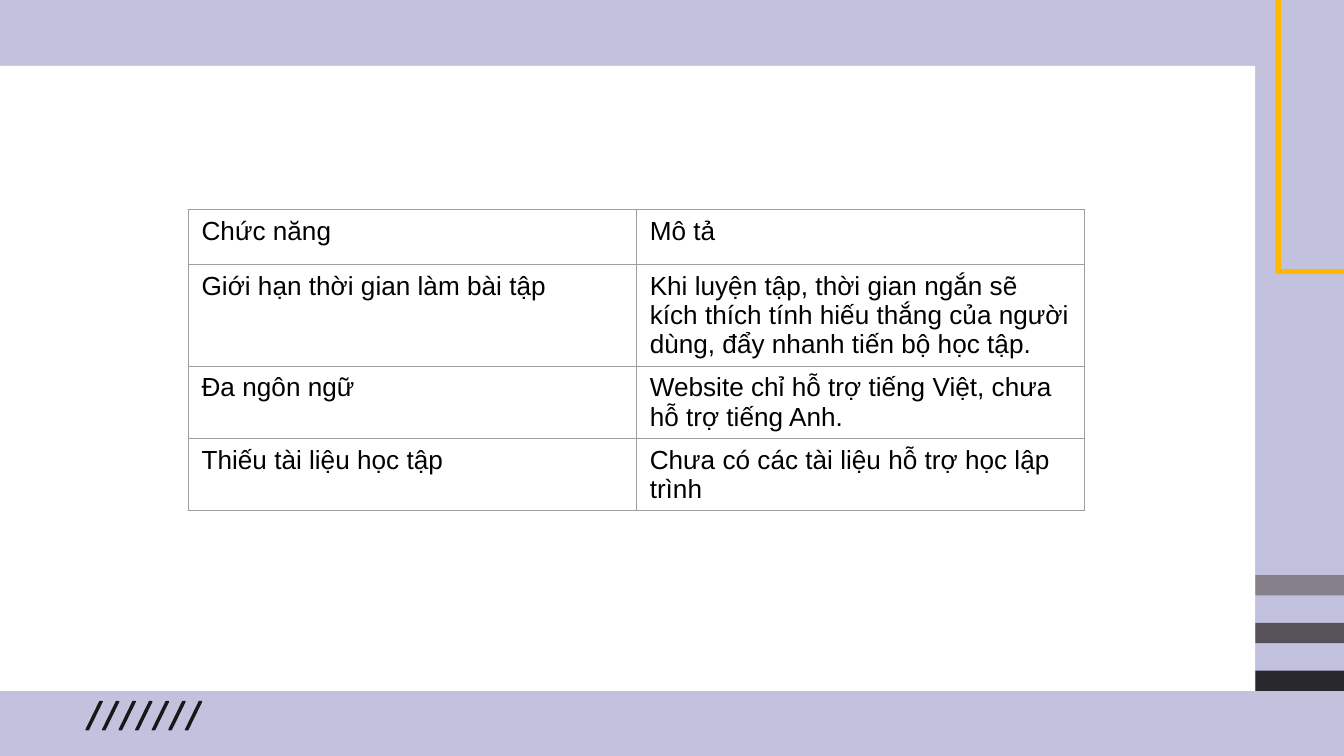
from lxml import etree
from pptx import Presentation
from pptx.dml.color import RGBColor
from pptx.enum.shapes import MSO_SHAPE
from pptx.oxml.ns import qn
from pptx.util import Inches, Pt

RECTANGLE = MSO_SHAPE.RECTANGLE
PARALLELOGRAM = MSO_SHAPE.PARALLELOGRAM
BLANK_LAYOUT = 6
SLIDE_WIDTH = 10

COLORS = {
    "background": "C2C2DF",
    "panel": "FFFFFF",
    "slash": "18181A",
    "frame": "FFB700",
    "border": "9E9E9E",
    "text": "000000",
}
STRIPES = ["86808A", "575259", "29282C"]

FEATURES = [
    ("Chức năng", "Mô tả"),
    (
        "Giới hạn thời gian làm bài tập",
        "Khi luyện tập, thời gian ngắn sẽ kích thích tính hiếu thắng của người dùng, "
        "đẩy nhanh tiến bộ học tập.",
    ),
    ("Đa ngôn ngữ", "Website chỉ hỗ trợ tiếng Việt, chưa hỗ trợ tiếng Anh."),
    ("Thiếu tài liệu học tập", "Chưa có các tài liệu hỗ trợ học lập trình"),
]


def write_text(text_frame, text, size=14, font="Arial", color=COLORS["text"]):
    run = text_frame.paragraphs[0].add_run()
    run.text = text
    run.font.size = Pt(size)
    run.font.name = font
    run.font.color.rgb = RGBColor.from_string(color)


class SlideBuilder:
    def __init__(self, slide):
        self.slide = slide

    def background(self, color):
        fill = self.slide.background.fill
        fill.solid()
        fill.fore_color.rgb = RGBColor.from_string(color)

    def shape(self, kind, left, top, width, height, fill=None, line=None, weight=0.75):
        shape = self.slide.shapes.add_shape(
            kind, Inches(left), Inches(top), Inches(width), Inches(height)
        )
        shape.shadow.inherit = False
        if fill:
            shape.fill.solid()
            shape.fill.fore_color.rgb = RGBColor.from_string(fill)
        else:
            shape.fill.background()
        if line:
            shape.line.color.rgb = RGBColor.from_string(line)
            shape.line.width = Pt(weight)
        else:
            shape.line.fill.background()
        return shape

    def cell_borders(self, cell, color, weight=0.75):
        properties = cell._tc.get_or_add_tcPr()
        for position, side in enumerate(("a:lnL", "a:lnR", "a:lnT", "a:lnB")):
            border = etree.Element(qn(side), w=str(Pt(weight)))
            fill = etree.SubElement(border, qn("a:solidFill"))
            etree.SubElement(fill, qn("a:srgbClr"), val=color)
            properties.insert(position, border)

    def table(self, rows, left, top, width, row_height):
        table = self.slide.shapes.add_table(
            len(rows), len(rows[0]), Inches(left), Inches(top),
            Inches(width), Inches(row_height * len(rows)),
        ).table
        table.first_row = False
        table.horz_banding = False
        for row_index, row in enumerate(rows):
            for column_index, text in enumerate(row):
                cell = table.cell(row_index, column_index)
                cell.fill.background()
                self.cell_borders(cell, COLORS["border"])
                write_text(cell.text_frame, text)


def main():
    deck = Presentation()
    deck.slide_width = Inches(SLIDE_WIDTH)
    deck.slide_height = Inches(SLIDE_WIDTH * 9 / 16)
    builder = SlideBuilder(deck.slides.add_slide(deck.slide_layouts[BLANK_LAYOUT]))

    builder.background(COLORS["background"])
    builder.shape(RECTANGLE, 0, 0.49, 9.34, 4.65, fill=COLORS["panel"])
    for index in range(7):
        slash = builder.shape(
            PARALLELOGRAM, 0.64 + index * 0.74 / 6, 5.22, 0.12, 0.21,
            fill=COLORS["slash"], line=COLORS["slash"],
        )
        slash.adjustments[0] = 0.854
    for index, color in enumerate(STRIPES):
        builder.shape(RECTANGLE, 9.34, 4.28 + index * 0.355, 0.66, 0.15, fill=color)
    builder.shape(RECTANGLE, 9.51, -1.04, 0.99, 3.06, line=COLORS["frame"], weight=3)
    builder.table(FEATURES, 1.4, 1.56, 6.67, 0.41)

    deck.save("out.pptx")


if __name__ == "__main__":
    main()
